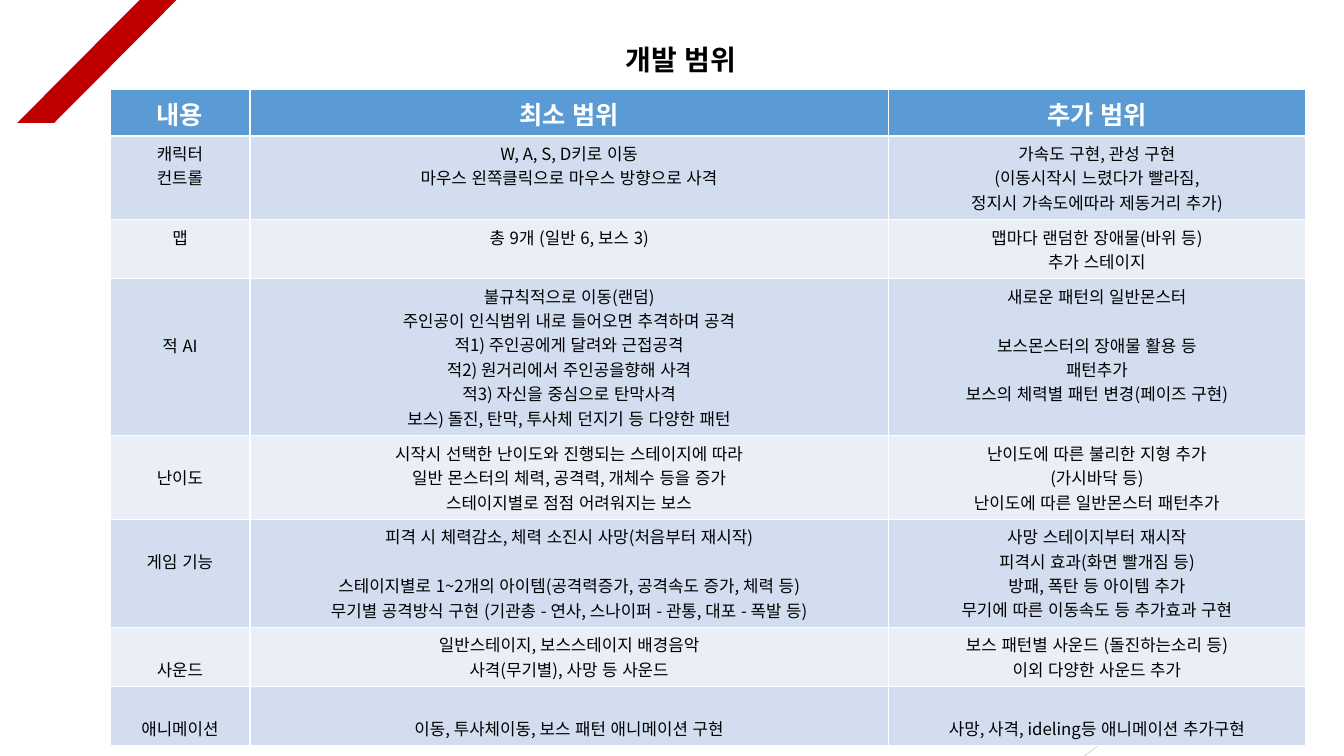
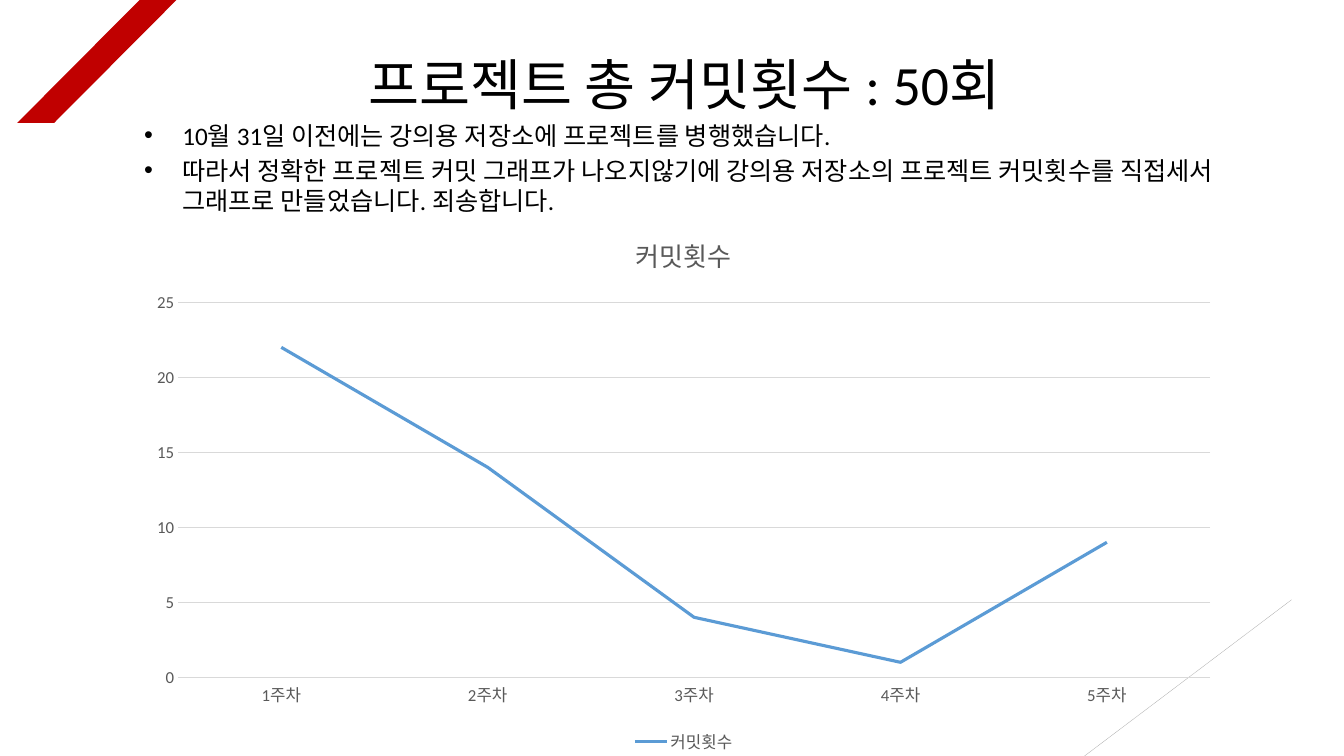
from lxml import etree
from pptx import Presentation
from pptx import util as u
from pptx.chart.data import CategoryChartData
from pptx.dml.color import RGBColor
from pptx.enum import chart as ch, lang, shapes, text
from pptx.oxml import ns

SCOPE_TITLE = "개발 범위"
SCOPE_HEAD = ("내용", "최소 범위", "추가 범위")
# An empty line inside a cell stands for one line of spacing.
SCOPE_ROWS = [
    ("캐릭터\n컨트롤",
     "W, A, S, D키로 이동\n마우스 왼쪽클릭으로 마우스 방향으로 사격",
     "가속도 구현, 관성 구현\n(이동시작시 느렸다가 빨라짐,\n정지시 가속도에따라 제동거리 추가)"),
    ("맵",
     "총 9개 (일반 6, 보스 3)",
     "맵마다 랜덤한 장애물(바위 등)\n추가 스테이지"),
    ("\n\n적 AI",
     "불규칙적으로 이동(랜덤)\n주인공이 인식범위 내로 들어오면 추격하며 공격\n"
     "적1) 주인공에게 달려와 근접공격\n적2) 원거리에서 주인공을향해 사격\n"
     "적3) 자신을 중심으로 탄막사격\n보스) 돌진, 탄막, 투사체 던지기 등 다양한 패턴",
     "새로운 패턴의 일반몬스터\n\n보스몬스터의 장애물 활용 등\n패턴추가\n"
     "보스의 체력별 패턴 변경(페이즈 구현)"),
    ("\n난이도",
     "시작시 선택한 난이도와 진행되는 스테이지에 따라\n"
     "일반 몬스터의 체력, 공격력, 개체수 등을 증가\n스테이지별로 점점 어려워지는 보스",
     "난이도에 따른 불리한 지형 추가\n(가시바닥 등)\n난이도에 따른 일반몬스터 패턴추가"),
    ("\n게임 기능",
     "피격 시 체력감소, 체력 소진시 사망(처음부터 재시작)\n\n"
     "스테이지별로 1~2개의 아이템(공격력증가, 공격속도 증가, 체력 등)\n"
     "무기별 공격방식 구현 (기관총 - 연사, 스나이퍼 - 관통, 대포 - 폭발 등)",
     "사망 스테이지부터 재시작\n피격시 효과(화면 빨개짐 등)\n"
     "방패, 폭탄 등 아이템 추가\n무기에 따른 이동속도 등 추가효과 구현"),
    ("\n사운드",
     "일반스테이지, 보스스테이지 배경음악\n사격(무기별), 사망 등 사운드",
     "보스 패턴별 사운드 (돌진하는소리 등)\n이외 다양한 사운드 추가"),
    ("\n애니메이션",
     "\n이동, 투사체이동, 보스 패턴 애니메이션 구현",
     "\n사망, 사격, ideling등 애니메이션 추가구현"),
]
COL_WIDTHS = (1.39, 6.33, 4.14)
HEAD_HEIGHT = 0.46

COMMIT_TITLE = "프로젝트 총 커밋횟수 : 50회"
COMMIT_NOTES = [
    "10월 31일 이전에는 강의용 저장소에 프로젝트를 병행했습니다.",
    "따라서 정확한 프로젝트 커밋 그래프가 나오지않기에 강의용 저장소의 프로젝트 "
    "커밋횟수를 직접세서 그래프로 만들었습니다. 죄송합니다.",
]
COMMIT_SERIES = "커밋횟수"
COMMITS = {"1주차": 22, "2주차": 14, "3주차": 4, "4주차": 1, "5주차": 9}


class Theme:
    """Colours, fonts and type sizes of the deck."""
    RED, BLUE, WHITE, BLACK = "C00000", "5B9BD5", "FFFFFF", "000000"
    BANDS = ("D2DEEF", "EAEFF7")
    RULE, GRID, LABEL = "A6A6A6", "D9D9D9", "595959"
    KOREAN, LATIN = "Noto Sans CJK KR", "Calibri"
    TITLE, BIG_TITLE, HEAD, BODY, CELL = 20, 39.6, 18, 18, 12
    CHART_TITLE, CHART = 18.6, 12
    CELL_LINE = 17.5 / 72  # height of one cell line, inches
    CELL_PAD = 0.05


def rgb(value):
    """Turn a hex string into a colour."""
    return RGBColor.from_string(value)


def style(font, size, color, name, bold=False):
    """Format a font object."""
    font.size, font.bold, font.name = u.Pt(size), bold, name
    font.color.rgb = rgb(color)
    font.language_id = lang.MSO_LANGUAGE_ID.KOREAN


def write(tf, lines, size, color=Theme.BLACK, name=Theme.LATIN, bold=False,
          align=text.PP_ALIGN.LEFT, gap=0, spacing=None, bullet=None):
    """Write lines as paragraphs; empty inner lines become space before."""
    pending, first = 0, True
    for line in lines:
        if not line:
            pending += 1
            continue
        p = tf.paragraphs[0] if first else tf.add_paragraph()
        p.alignment = align
        if spacing:
            p.line_spacing = spacing
        if not first:
            p.space_before = u.Pt(gap + pending * Theme.CELL_LINE * 72)
        r = p.add_run()
        r.text = line
        style(r.font, size, color, name, bold)
        etree.SubElement(r.font._element, ns.qn("a:ea")).set("typeface", name)
        if bullet:
            ppr = p._p.get_or_add_pPr()
            ppr.set("marL", str(u.Inches(0.38)))
            ppr.set("indent", str(-u.Inches(0.38)))
            etree.SubElement(ppr, ns.qn("a:buFont")).set("typeface", "Arial")
            etree.SubElement(ppr, ns.qn("a:buChar")).set("char", bullet)
        pending, first = 0, False


def add_text(s, box, lines, size, anchor=text.MSO_ANCHOR.TOP, **fmt):
    """Add a wrapped text box."""
    tf = s.shapes.add_textbox(*map(u.Inches, box)).text_frame
    tf.word_wrap, tf.vertical_anchor = True, anchor
    write(tf, lines, size, **fmt)


def add_title(s, left, top, title, size, **fmt):
    """Add a centred slide title."""
    add_text(s, (left, top, 11.27, 0.57), [title], size,
             anchor=text.MSO_ANCHOR.MIDDLE, align=text.PP_ALIGN.CENTER, **fmt)


def new_slide(prs):
    """Add a blank slide with the red corner band and the thin diagonal."""
    s = prs.slides.add_slide(prs.slide_layouts[6])
    sp = s.shapes.add_shape(shapes.MSO_SHAPE.PARALLELOGRAM,
                            *map(u.Inches, (0.17, 0, 1.58, 1.22)))
    sp.adjustments[0] = 0.995
    sp.shadow.inherit = False
    sp.fill.solid()
    sp.fill.fore_color.rgb = rgb(Theme.RED)
    sp.line.fill.background()
    rule = s.shapes.add_connector(shapes.MSO_CONNECTOR.STRAIGHT,
                                  *map(u.Inches, (10.73, 7.52, 12.81, 5.95)))
    rule.line.color.rgb, rule.line.width = rgb(Theme.RULE), u.Pt(0.2)
    etree.SubElement(rule._element.spPr, ns.qn("a:effectLst"))
    return s


def row_height(values):
    """Give the height that the tallest cell of a row needs."""
    lines = max(value.count("\n") + 1 for value in values)
    return 2 * Theme.CELL_PAD + lines * Theme.CELL_LINE


def fill_cell(cell, value, fill, **fmt):
    """Fill a cell; leading empty lines become top margin."""
    body = value.lstrip("\n")
    lead = len(value) - len(body)
    cell.margin_top = u.Inches(Theme.CELL_PAD + lead * Theme.CELL_LINE)
    cell.fill.solid()
    cell.fill.fore_color.rgb = rgb(fill)
    write(cell.text_frame, body.split("\n"), name=Theme.KOREAN,
          align=text.PP_ALIGN.CENTER, **fmt)


def scope_slide(prs):
    """Build the slide with the scope table."""
    s = new_slide(prs)
    add_title(s, 1.12, 0.32, SCOPE_TITLE, Theme.TITLE, name=Theme.KOREAN,
              bold=True, spacing=0.9)
    heights = [HEAD_HEIGHT] + [row_height(values) for values in SCOPE_ROWS]
    box = (1.09, 0.89, sum(COL_WIDTHS), sum(heights))
    table = s.shapes.add_table(len(heights), len(COL_WIDTHS),
                               *map(u.Inches, box)).table
    for col, width in zip(table.columns, COL_WIDTHS):
        col.width = u.Inches(width)
    for row, height in zip(table.rows, heights):
        row.height = u.Inches(height)
    for c, value in enumerate(SCOPE_HEAD):
        fill_cell(table.cell(0, c), value, Theme.BLUE, size=Theme.HEAD,
                  color=Theme.WHITE, bold=True)
    for i, values in enumerate(SCOPE_ROWS):
        for c, value in enumerate(values):
            fill_cell(table.cell(i + 1, c), value, Theme.BANDS[i % 2],
                      size=Theme.CELL)


def add_commit_chart(s):
    """Add the line chart of weekly commits."""
    data = CategoryChartData()
    data.categories = list(COMMITS)
    data.add_series(COMMIT_SERIES, list(COMMITS.values()))
    box = map(u.Inches, (1.34, 2.1, 10.88, 5.42))
    chart = s.shapes.add_chart(ch.XL_CHART_TYPE.LINE, *box, data).chart
    style(chart.font, Theme.CHART, Theme.LABEL, Theme.LATIN)

    chart.has_title = True
    tf = chart.chart_title.text_frame
    tf.text = COMMIT_SERIES
    style(tf.paragraphs[0].runs[0].font, Theme.CHART_TITLE, Theme.LABEL, Theme.LATIN)
    chart.chart_title.include_in_layout = False
    chart.has_legend = True
    chart.legend.position = ch.XL_LEGEND_POSITION.BOTTOM
    chart.legend.include_in_layout = False
    style(chart.legend.font, Theme.CHART, Theme.LABEL, Theme.LATIN)

    weeks, counts = chart.category_axis, chart.value_axis
    for axis in (weeks, counts):
        axis.major_tick_mark = axis.minor_tick_mark = ch.XL_TICK_MARK.NONE
        style(axis.tick_labels.font, Theme.CHART, Theme.LABEL, Theme.LATIN)
    counts.minimum_scale, counts.maximum_scale, counts.major_unit = 0, 25, 5
    counts.has_major_gridlines = True
    counts.format.line.fill.background()
    for line in (weeks.format.line, counts.major_gridlines.format.line):
        line.color.rgb, line.width = rgb(Theme.GRID), u.Pt(0.75)

    plot = chart.plots[0]
    plot.vary_by_categories = False
    series = plot.series[0]
    series.smooth = False
    series.marker.style = ch.XL_MARKER_STYLE.NONE
    series.format.line.color.rgb = rgb(Theme.BLUE)
    series.format.line.width = u.Pt(2.25)


def commit_slide(prs):
    """Build the slide with the commit notes and chart."""
    s = new_slide(prs)
    add_text(s, (1.33, 1.14, 11.28, 1.04), COMMIT_NOTES, Theme.BODY,
             gap=3.6, bullet="•")
    add_title(s, 1.15, 0.54, COMMIT_TITLE, Theme.BIG_TITLE)
    add_commit_chart(s)


prs = Presentation()
prs.slide_width, prs.slide_height = u.Inches(13.33), u.Inches(7.5)
scope_slide(prs)
commit_slide(prs)
prs.save("out.pptx")
